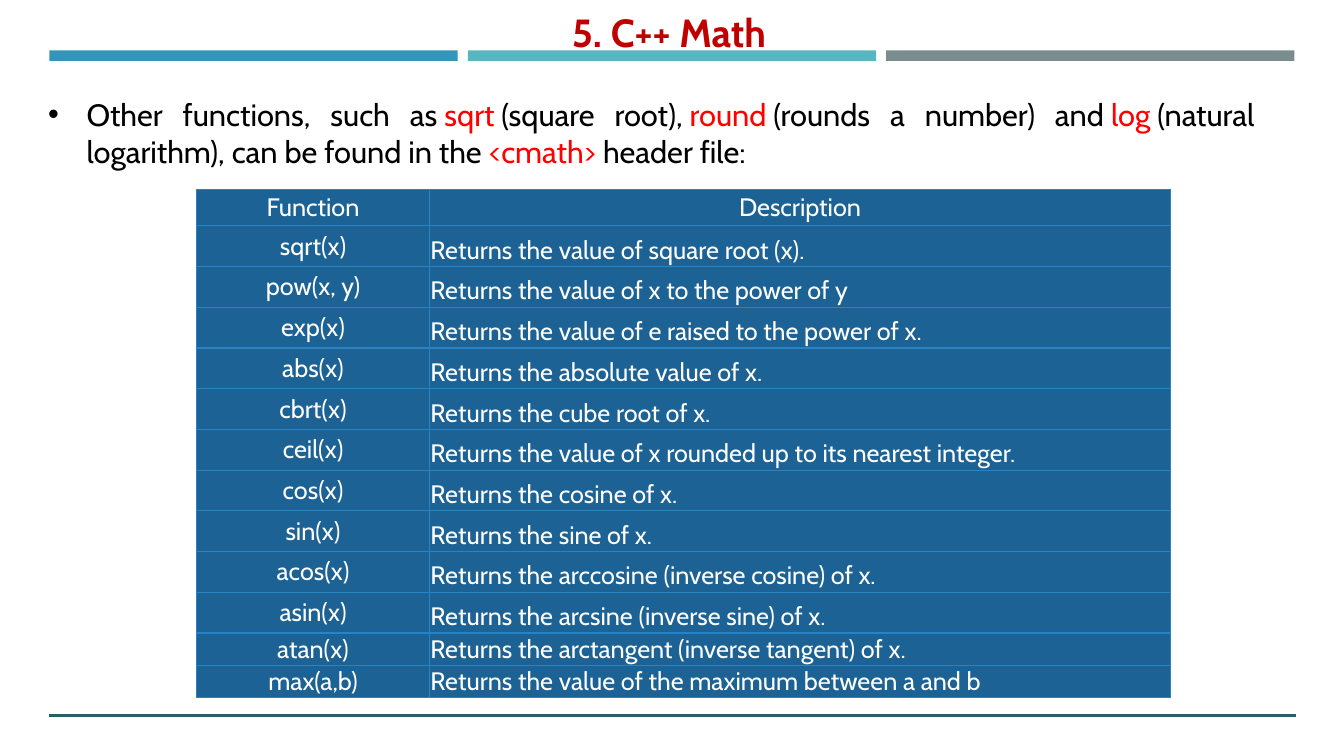
from dataclasses import dataclass
from typing import Any

from lxml.etree import SubElement
from pptx import Presentation
from pptx.dml.color import RGBColor
from pptx.enum.shapes import MSO_CONNECTOR, MSO_SHAPE
from pptx.enum.text import MSO_ANCHOR, PP_ALIGN
from pptx.oxml.ns import qn
from pptx.util import Inches, Pt

RECT, LINE = MSO_SHAPE.RECTANGLE, MSO_CONNECTOR.STRAIGHT
TOP, MID, LOW = MSO_ANCHOR.TOP, MSO_ANCHOR.MIDDLE, MSO_ANCHOR.BOTTOM
LEFT, CENTER, JUST = PP_ALIGN.LEFT, PP_ALIGN.CENTER, PP_ALIGN.JUSTIFY
WIDE, HIGH = Inches(13.33), Inches(7.5)
NBSP = chr(160)


@dataclass(frozen=True)
class Theme:
    font: str = "Cabin"
    title: str = "C00000"
    text: str = "000000"
    code: str = "FF0000"
    rule: str = "266066"
    cell: str = "1D6294"
    edge: str = "2683C6"
    light: str = "FFFFFF"
    bars: tuple[str, ...] = ("3494BA", "58B6C0", "7A8C8E")
    head_pt: int = 28
    body_pt: int = 22
    cell_pt: int = 18


@dataclass(frozen=True)
class Box:
    """A place on the slide, in percent of its width and height."""
    x: float
    y: float
    w: float
    h: float

    def emu(self) -> tuple[int, int, int, int]:
        return across(self.x), down(self.y), across(self.w), down(self.h)


@dataclass(frozen=True)
class Entry:
    name: str
    note: str
    high: float = 5.39


THEME = Theme()
BAR, STEP = Box(3.68, 6.67, 30.38, 1.4), 31.13
TITLE = Box(31.58, 1.73, 36.38, 6.93)
INTRO = Box(2.85, 12, 91.22, 26)
TABLE = Box(14.63, 25.07, 72.47, 67.24)
COLS = (17.33, 55.14)
RULE_Y, RULE_END = 94.67, 96.4

# Plain text and code words take turns.
WORDS = ("Other functions, such as", "sqrt", "(square root),", "round",
         "(rounds a number) and", "log",
         "(natural logarithm), can be found in the", "<cmath>", "header file:")

ENTRIES = (
    Entry("Function", "Description", 4.8),
    Entry("sqrt(x)", "Returns the value of square root (x)."),
    Entry("pow(x, y)", "Returns the value of x to the power of y"),
    Entry("exp(x)", "Returns the value of e raised to the power of x."),
    Entry("abs(x)", "Returns the absolute value of x."),
    Entry("cbrt(x)", "Returns the cube root of x."),
    Entry("ceil(x)", "Returns the value of x rounded up to its nearest integer."),
    Entry("cos(x)", "Returns the cosine of x."),
    Entry("sin(x)", "Returns the sine of x."),
    Entry("acos(x)", "Returns the arccosine (inverse cosine) of x."),
    Entry("asin(x)", "Returns the arcsine (inverse sine) of x."),
    Entry("atan(x)", "Returns the arctangent (inverse tangent) of x.", 4.27),
    Entry("max(a,b)", "Returns the value of the maximum between a and b", 4.27),
)


def across(share: float) -> int:
    return round(WIDE * share / 100)


def down(share: float) -> int:
    return round(HIGH * share / 100)


def rgb(color: str) -> RGBColor:
    return RGBColor.from_string(color)


def put(item: Any, form: dict[str, Any]) -> None:
    for key, value in form.items():
        setattr(item, key, value)


def insets(size: float) -> dict[str, Any]:
    sides = ("left", "top", "right", "bottom")
    return {f"margin_{side}": Inches(size) for side in sides}


def write(para: Any, text: str, size: int, color: str, bold: bool = False) -> None:
    run = para.add_run()
    run.text = text
    put(run.font, {"name": THEME.font, "size": Pt(size), "bold": bold})
    run.font.color.rgb = rgb(color)


def frame(slide: Any, box: Box, anchor: Any, inset: dict[str, Any]) -> Any:
    text = slide.shapes.add_textbox(*box.emu()).text_frame
    put(text, {"word_wrap": True, "vertical_anchor": anchor, **inset})
    return text.paragraphs[0]


def bullet(para: Any, indent: float) -> None:
    props = para._p.get_or_add_pPr()
    props.set("marL", str(Inches(indent)))
    props.set("indent", str(-Inches(indent)))
    SubElement(props, qn("a:buFont"), typeface="Arial")
    SubElement(props, qn("a:buChar"), char="•")


def border(cell: Any) -> None:
    props = cell._tc.get_or_add_tcPr()
    for side in "LRTB":
        line = SubElement(props, qn(f"a:ln{side}"), w=str(Pt(1)))
        fill = SubElement(line, qn("a:solidFill"))
        SubElement(fill, qn("a:srgbClr"), val=THEME.edge)


def draw_bars(slide: Any) -> None:
    for i, color in enumerate(THEME.bars):
        box = Box(BAR.x + i * STEP, BAR.y, BAR.w, BAR.h)
        bar = slide.shapes.add_shape(RECT, *box.emu())
        bar.shadow.inherit = False
        bar.fill.solid()
        bar.fill.fore_color.rgb = rgb(color)
        bar.line.fill.background()


def draw_rule(slide: Any) -> None:
    y = down(RULE_Y)
    rule = slide.shapes.add_connector(LINE, across(RULE_END), y, across(BAR.x), y)
    rule.line.width = Pt(2.25)
    rule.line.color.rgb = rgb(THEME.rule)
    SubElement(rule._element.spPr, qn("a:effectLst"))


def draw_intro(slide: Any) -> None:
    """Set code words in colour, tied to the text by no-break spaces."""
    para = frame(slide, INTRO, TOP, {})
    para.alignment = JUST
    bullet(para, 0.38)
    for i, word in enumerate(WORDS):
        if i % 2:
            write(para, word, THEME.body_pt, THEME.code)
        else:
            lead = NBSP if i else ""
            tail = NBSP if i < len(WORDS) - 1 else ""
            write(para, lead + word + tail, THEME.body_pt, THEME.text)


def draw_title(slide: Any) -> None:
    para = frame(slide, TITLE, LOW, insets(0.1))
    para.alignment = CENTER
    write(para, "5. C++ Math", THEME.head_pt, THEME.title, True)


def fill_cell(cell: Any, text: str, align: Any, anchor: Any) -> None:
    put(cell, {"vertical_anchor": anchor, **insets(0.01)})
    border(cell)
    cell.fill.solid()
    cell.fill.fore_color.rgb = rgb(THEME.cell)
    para = cell.text_frame.paragraphs[0]
    para.alignment = align
    write(para, text, THEME.cell_pt, THEME.light)


def draw_table(slide: Any) -> None:
    shape = slide.shapes.add_table(len(ENTRIES), len(COLS), *TABLE.emu())
    table = shape.table
    put(table, {"first_row": False, "horz_banding": False})
    for col, share in zip(table.columns, COLS):
        col.width = across(share)
    for i, entry in enumerate(ENTRIES):
        table.rows[i].height = down(entry.high)
        fill_cell(table.cell(i, 0), entry.name, CENTER, MID)
        align, anchor = (LEFT, LOW) if i else (CENTER, MID)
        fill_cell(table.cell(i, 1), entry.note, align, anchor)


def main() -> None:
    deck = Presentation()
    put(deck, {"slide_width": WIDE, "slide_height": HIGH})
    slide = deck.slides.add_slide(deck.slide_layouts[6])
    for draw in (draw_bars, draw_rule, draw_intro, draw_title, draw_table):
        draw(slide)
    deck.save("out.pptx")


if __name__ == "__main__":
    main()
